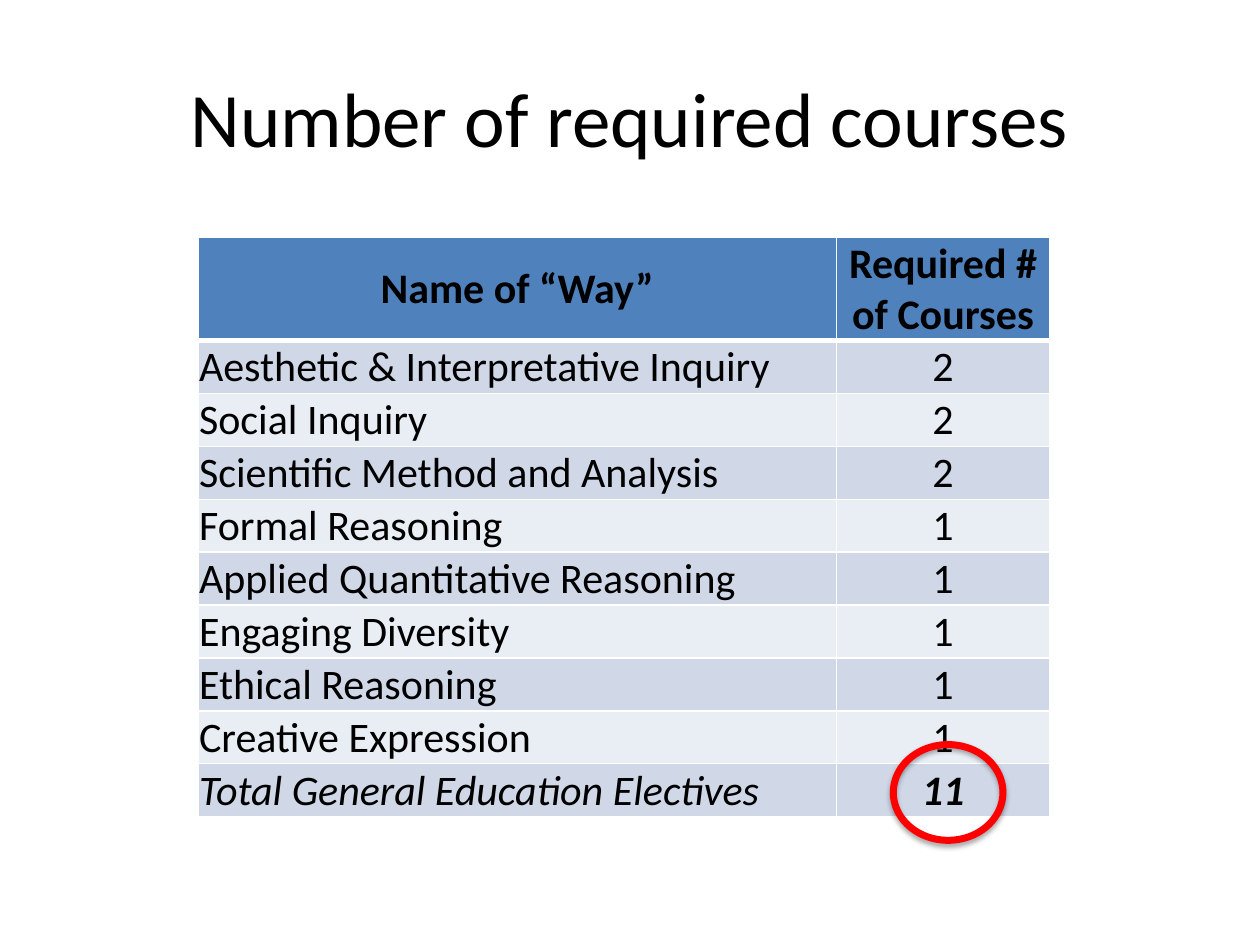
"""Build a slide with a table of required courses and a circled total."""
import dataclasses

import lxml.etree
import pptx
import pptx.dml.color
import pptx.enum.shapes
import pptx.enum.text
import pptx.oxml
import pptx.oxml.ns
import pptx.slide
import pptx.table
import pptx.text.text
import pptx.util
from pptx.dml.color import RGBColor
from pptx.util import Inches

FONT = "Calibri"
BLACK = RGBColor(0x00, 0x00, 0x00)
WHITE = RGBColor(0xFF, 0xFF, 0xFF)
RED = RGBColor(0xFF, 0x00, 0x00)
HEADER_BLUE = RGBColor(0x4F, 0x81, 0xBD)
BAND_DARK = RGBColor(0xD0, 0xD8, 0xE8)
BAND_LIGHT = RGBColor(0xE9, 0xED, 0xF4)
COLUMN_WIDTHS = (5.07, 1.69)
HEADER_HEIGHT = 0.82
ROW_HEIGHT = 0.42


@dataclasses.dataclass(frozen=True)
class CourseRow:
    name: str
    courses: str
    name_bold: bool = False
    courses_bold: bool = False
    italic: bool = False


ROWS = (
    CourseRow("Name of “Way”", "Required # of Courses", name_bold=True, courses_bold=True),
    CourseRow("Aesthetic & Interpretative Inquiry", "2"),
    CourseRow("Social Inquiry", "2"),
    CourseRow("Scientific Method and Analysis", "2"),
    CourseRow("Formal Reasoning", "1"),
    CourseRow("Applied Quantitative Reasoning", "1"),
    CourseRow("Engaging Diversity", "1"),
    CourseRow("Ethical Reasoning", "1"),
    CourseRow("Creative Expression", "1"),
    CourseRow("Total General Education Electives", "11", courses_bold=True, italic=True),
)


def format_text(
    frame: pptx.text.text.TextFrame, size: int, centered: bool, bold: bool = False, italic: bool = False
) -> None:
    paragraph = frame.paragraphs[0]
    alignment = pptx.enum.text.PP_ALIGN
    paragraph.alignment = alignment.CENTER if centered else alignment.LEFT
    font = paragraph.runs[0].font
    font.name = FONT
    font.size = pptx.util.Pt(size)
    font.bold = bold
    font.italic = italic
    font.color.rgb = BLACK


def add_border(properties: lxml.etree._Element, side: str, points: int) -> None:
    properties.append(pptx.oxml.parse_xml(
        f'<a:ln{side} {pptx.oxml.ns.nsdecls("a")} w="{pptx.util.Pt(points)}">'
        f'<a:solidFill><a:srgbClr val="{WHITE}"/></a:solidFill></a:ln{side}>'
    ))


def fill_row(table: pptx.table.Table, index: int, row: CourseRow) -> None:
    header = index == 0
    table.rows[index].height = Inches(HEADER_HEIGHT if header else ROW_HEIGHT)
    band = HEADER_BLUE if header else BAND_DARK if index % 2 else BAND_LIGHT
    borders = {"L": 1, "R": 1, "T": 3 if index == 1 else 1, "B": 3 if header else 1}
    entries = ((row.name, row.name_bold, header), (row.courses, row.courses_bold, True))
    for column, (text, bold, centered) in enumerate(entries):
        cell = table.cell(index, column)
        cell.text_frame.text = text
        format_text(cell.text_frame, 24, centered, bold, row.italic)
        cell.vertical_anchor = pptx.enum.text.MSO_ANCHOR.MIDDLE
        cell.margin_left = cell.margin_right = cell.margin_top = Inches(0.01)
        cell.margin_bottom = 0
        for side, points in borders.items():
            add_border(cell._tc.get_or_add_tcPr(), side, points)
        cell.fill.solid()
        cell.fill.fore_color.rgb = band


def add_course_table(slide: pptx.slide.Slide) -> None:
    height = HEADER_HEIGHT + ROW_HEIGHT * (len(ROWS) - 1)
    table = slide.shapes.add_table(
        len(ROWS), len(COLUMN_WIDTHS),
        Inches(1.57), Inches(1.88), Inches(sum(COLUMN_WIDTHS)), Inches(height),
    ).table
    for column, width in zip(table.columns, COLUMN_WIDTHS):
        column.width = Inches(width)
    for index, row in enumerate(ROWS):
        fill_row(table, index, row)


def add_total_circle(slide: pptx.slide.Slide) -> None:
    circle = slide.shapes.add_shape(
        pptx.enum.shapes.MSO_SHAPE.OVAL, Inches(7.09), Inches(5.91), Inches(0.87), Inches(0.76)
    )
    circle.fill.background()
    circle.line.color.rgb = RED
    circle.line.width = pptx.util.Pt(4)
    circle.shadow.inherit = False
    effects = circle._element.spPr.find(pptx.oxml.ns.qn("a:effectLst"))
    effects.append(pptx.oxml.parse_xml(
        f'<a:outerShdw {pptx.oxml.ns.nsdecls("a")} blurRad="{pptx.util.Pt(3.1)}" '
        f'dist="{pptx.util.Pt(1.8)}" dir="5400000" rotWithShape="0">'
        f'<a:srgbClr val="{BLACK}"><a:alpha val="35000"/></a:srgbClr></a:outerShdw>'
    ))


def add_title(slide: pptx.slide.Slide) -> None:
    title = slide.shapes.title
    title.left, title.top = Inches(0.5), Inches(0.3)
    title.width, title.height = Inches(9), Inches(1.25)
    title.text_frame.text = "Number of required courses"
    title.text_frame.vertical_anchor = pptx.enum.text.MSO_ANCHOR.MIDDLE
    format_text(title.text_frame, 44, centered=True)


def main() -> None:
    presentation = pptx.Presentation()
    presentation.slide_width = Inches(10)
    presentation.slide_height = Inches(7.5)
    slide = presentation.slides.add_slide(presentation.slide_layouts.get_by_name("Title Only"))
    add_title(slide)
    add_course_table(slide)
    add_total_circle(slide)
    presentation.save("out.pptx")


if __name__ == "__main__":
    main()
